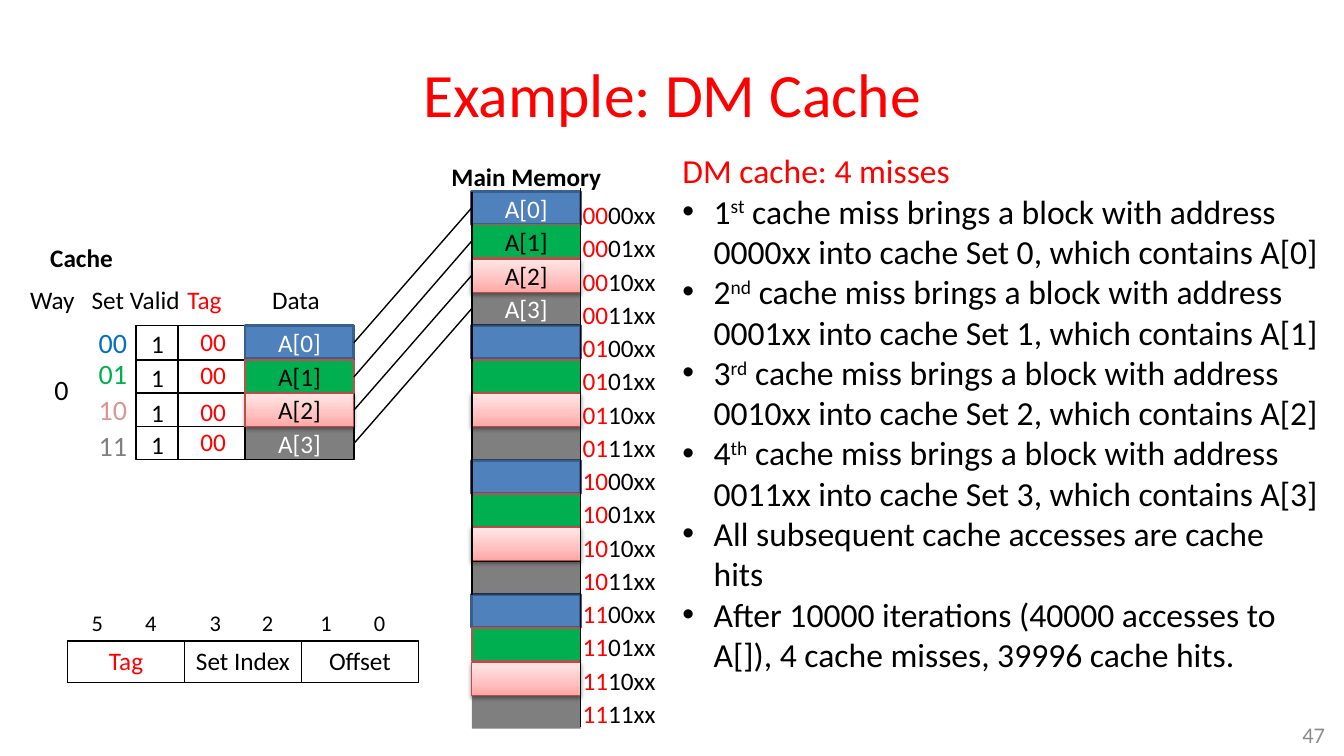
import copy

import pptx
import pptx.dml.color
import pptx.enum.shapes
import pptx.enum.text
import pptx.oxml
import pptx.oxml.ns
import pptx.util

PX = 9144  # EMU in one px, 100 px to the inch
ALIGN = pptx.enum.text.PP_ALIGN
ANCHOR = pptx.enum.text.MSO_ANCHOR
RECTANGLE = pptx.enum.shapes.MSO_SHAPE.RECTANGLE

THEME = {
    "font": "Calibri",
    "title": 44, "body": 24, "set": 20, "label": 18, "small": 16,
    "black": "000000", "white": "FFFFFF", "red": "FF0000", "gray": "8C8C8C",
    "set colors": ["0070C0", "00B050", "D99694", "808080"],
    "blue": "4F81BD", "blue line": "3A5F8C",
    "green": "00B050", "green line": "C0504D",
    "pink": [(0, "FFA6A5"), (0.35, "FFC0BF"), (1, "FFE7E7")], "pink line": "BF4C48",
}
rgb = pptx.dml.color.RGBColor.from_string

presentation = pptx.Presentation()
presentation.slide_width = 1333 * PX
presentation.slide_height = 750 * PX
slide = presentation.slides.add_slide(presentation.slide_layouts[6])
shapes = slide.shapes


def write(frame, text, size="label", color="black", bold=False, align=ALIGN.LEFT,
          anchor=ANCHOR.TOP, wrap=False, grow=False, spacing=None, bulleted_from=None):
    """Fill a text frame; text is a string or a list of paragraphs of (text, color, raised) runs."""
    frame.word_wrap = wrap
    frame.vertical_anchor = anchor
    if grow:
        frame.auto_size = pptx.enum.text.MSO_AUTO_SIZE.SHAPE_TO_FIT_TEXT
    paragraphs = [[(text, color, False)]] if isinstance(text, str) else text
    for index, runs in enumerate(paragraphs):
        paragraph = frame.add_paragraph() if index else frame.paragraphs[0]
        paragraph.alignment = align
        if spacing:
            paragraph.line_spacing = spacing
        if bulleted_from is not None and index >= bulleted_from:
            properties = paragraph._p.get_or_add_pPr()
            properties.set("marL", str(31 * PX))
            properties.set("indent", str(-31 * PX))
            properties.append(pptx.oxml.parse_xml(
                f'<a:buFont {pptx.oxml.ns.nsdecls("a")} typeface="Arial"/>'))
            properties.append(pptx.oxml.parse_xml(
                f'<a:buChar {pptx.oxml.ns.nsdecls("a")} char="•"/>'))
        for run_text, run_color, raised in runs:
            run = paragraph.add_run()
            run.text = run_text
            run.font.name = THEME["font"]
            run.font.size = pptx.util.Pt(THEME[size])
            run.font.bold = bold
            run.font.color.rgb = rgb(THEME.get(run_color, run_color))
            if raised:
                run.font._element.set("baseline", "30000")


def draw_line(start_x, start_y, end_x, end_y):
    line = shapes.add_connector(pptx.enum.shapes.MSO_CONNECTOR.STRAIGHT,
                                start_x * PX, start_y * PX, end_x * PX, end_y * PX)
    line.line.color.rgb = rgb(THEME["black"])
    line.line.width = pptx.util.Pt(1)
    line._element.spPr.append(pptx.oxml.parse_xml(
        f'<a:effectLst {pptx.oxml.ns.nsdecls("a")}/>'))


# Rows of memory; the cache starts level with memory row 4
row_tops = [190 + round(row * 100 / 3) for row in range(16)]
ROW_HEIGHT = 33
MEMORY_LEFT, DATA_LEFT, BLOCK_WIDTH = 468, 243, 108
MEMORY_RIGHT, DATA_RIGHT = MEMORY_LEFT + BLOCK_WIDTH, DATA_LEFT + BLOCK_WIDTH

# Grid of the valid, tag and data columns
for left, width in [(135, 42), (176, 67), (DATA_LEFT, BLOCK_WIDTH)]:
    column = shapes.add_shape(RECTANGLE, left * PX, row_tops[4] * PX, width * PX, 133 * PX)
    column.shadow.inherit = False
    column.fill.background()
    column.line.color.rgb = rgb(THEME["black"])
    column.line.width = pptx.util.Pt(1)
    for top in row_tops[5:8]:
        draw_line(left, top, left + width, top)

for top in row_tops:
    draw_line(MEMORY_LEFT, top, MEMORY_RIGHT, top)

# Blocks, colored by set; pink ones come last so their shadow stays on top
block_styles = [(0, "blue", 2, "white"), (3, "gray", 0, "white"),
                (1, "green", 1, "black"), (2, "pink", 0.75, "black")]
for set_index, style, line_width, text_color in block_styles:
    places = [(MEMORY_LEFT, row) for row in range(set_index, 16, 4)]
    places.append((DATA_LEFT, 4 + set_index))
    for left, row in places:
        block = shapes.add_shape(RECTANGLE, left * PX, row_tops[row] * PX,
                                 BLOCK_WIDTH * PX, ROW_HEIGHT * PX)
        block.shadow.inherit = False
        if style == "pink":
            block.fill.gradient()
            block.fill.gradient_angle = 90
            stop_list = block._element.spPr.find(".//" + pptx.oxml.ns.qn("a:gsLst"))
            stop_list.append(copy.deepcopy(stop_list[-1]))
            for stop, (position, color) in zip(block.fill.gradient_stops, THEME["pink"]):
                stop.position = position
                stop.color.rgb = rgb(color)
            block._element.spPr.find(pptx.oxml.ns.qn("a:effectLst")).append(pptx.oxml.parse_xml(
                f'<a:outerShdw {pptx.oxml.ns.nsdecls("a")} blurRad="40000" dist="20000" '
                'dir="5400000" rotWithShape="0"><a:srgbClr val="000000">'
                '<a:alpha val="38000"/></a:srgbClr></a:outerShdw>'))
        else:
            block.fill.solid()
            block.fill.fore_color.rgb = rgb(THEME["black" if style == "gray" else style])
        if style == "gray":
            block.line.fill.background()
            fill_color = block._element.spPr.find(".//" + pptx.oxml.ns.qn("a:srgbClr"))
            fill_color.append(pptx.oxml.parse_xml(
                f'<a:alpha {pptx.oxml.ns.nsdecls("a")} val="50000"/>'))
        else:
            block.line.color.rgb = rgb(THEME[style + " line"])
            block.line.width = pptx.util.Pt(line_width)
        if left == DATA_LEFT or row < 4:
            write(block.text_frame, f"A[{set_index}]", color=text_color,
                  align=ALIGN.CENTER, anchor=ANCHOR.MIDDLE)

draw_line(MEMORY_LEFT, 190, MEMORY_LEFT, 590)
draw_line(MEMORY_RIGHT, 187, MEMORY_RIGHT, 721)
for row in range(4):
    draw_line(MEMORY_LEFT, row_tops[row] + 16, DATA_RIGHT, row_tops[row + 4] + 17)

# Single-line labels: text, left, top, width, height, format
labels = [
    ("Cache", 40, 236, 83, 40, {"bold": True}),
    ("Main Memory", 438, 155, 170, 40, {"bold": True}),
    ("Way", 20, 277, 65, 40, {}),
    ("Set", 81, 277, 53, 40, {}),
    ("Valid", 119, 277, 70, 40, {}),
    ("Tag", 176, 277, 54, 40, {"color": "red"}),
    ("Data", 260, 277, 68, 40, {}),
    ("0", 44, 365, 34, 44, {"size": "set"}),
]
cache_rows = zip([318, 349, 384, 420], [321, 355, 389, 421], [319, 352, 388, 418])
for index, (set_top, valid_top, tag_top) in enumerate(cache_rows):
    set_format = {"size": "set", "color": THEME["set colors"][index]}
    labels.append((f"{index:02b}", 88, set_top, 49, 44, set_format))
    labels.append(("1", 140, valid_top, 33, 40, {}))
    labels.append(("00", 189, tag_top, 46, 40, {"color": "red"}))
for bit, left in zip("543210", [81, 134, 198, 250, 308, 361]):
    labels.append((bit, left, 599, 28, 37, {"size": "small"}))
for text, left, top, width, height, text_format in labels:
    label = shapes.add_textbox(left * PX, top * PX, width * PX, height * PX)
    write(label.text_frame, text, grow=True, **text_format)

# Address fields
field_table = shapes.add_table(1, 3, 67 * PX, 636 * PX, 348 * PX, 41 * PX).table
field_table.first_row = False
field_table.horz_banding = False
for index, (field, color) in enumerate([("Tag", "red"), ("Set Index", "black"), ("Offset", "black")]):
    cell = field_table.cell(0, index)
    cell_properties = cell._tc.get_or_add_tcPr()
    for side in "LRTB":
        cell_properties.append(pptx.oxml.parse_xml(
            f'<a:ln{side} {pptx.oxml.ns.nsdecls("a")} w="12700"><a:solidFill>'
            f'<a:srgbClr val="{THEME["black"]}"/></a:solidFill></a:ln{side}>'))
    cell.fill.background()
    write(cell.text_frame, field, color=color, align=ALIGN.CENTER, wrap=True)

# Memory addresses: tag bits in red, set bits and offset in black
addresses = [[(f"{row // 4:02b}", "red", False), (f"{row % 4:02b}xx", "black", False)]
             for row in range(16)]
address_box = shapes.add_textbox(568 * PX, 190 * PX, 108 * PX, 543 * PX)
write(address_box.text_frame, addresses, wrap=True, grow=True, spacing=1.1)

explanation = [[("DM cache: 4 misses", "red", False)]]
for index, ordinal in enumerate(["st", "nd", "rd", "th"]):
    explanation.append([
        (str(index + 1), "black", False), (ordinal, "black", True),
        (f" cache miss brings a block with address {index:04b}xx into cache Set {index}, "
         f"which contains A[{index}]", "black", False)])
for sentence in ["All subsequent cache accesses are cache hits",
                 "After 10000 iterations (40000 accesses to A[]), 4 cache misses, 39996 cache hits."]:
    explanation.append([(sentence, "black", False)])
explanation_box = shapes.add_textbox(667 * PX, 144 * PX, 652 * PX, 535 * PX)
write(explanation_box.text_frame, explanation, size="body", wrap=True, grow=True, bulleted_from=1)

title = shapes.add_textbox(67 * PX, 30 * PX, 1200 * PX, 125 * PX)
write(title.text_frame, "Example: DM Cache", size="title", color="red",
      align=ALIGN.CENTER, anchor=ANCHOR.MIDDLE, wrap=True)
page_number = shapes.add_textbox(1257 * PX, 708 * PX, 67 * PX, 42 * PX)
write(page_number.text_frame, "47", size="small", color="gray",
      align=ALIGN.RIGHT, anchor=ANCHOR.MIDDLE, wrap=True)

presentation.save("out.pptx")
